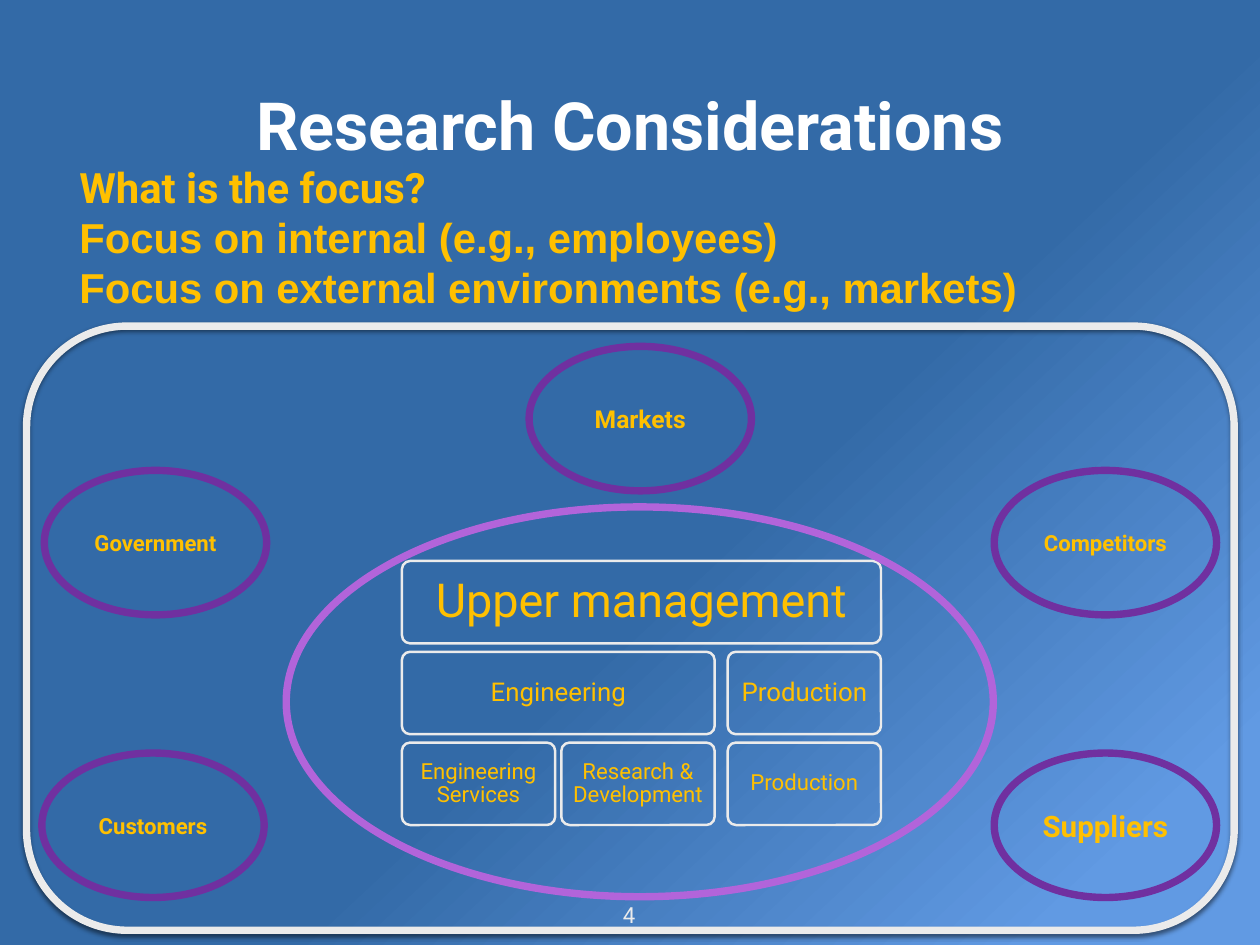
import pptx
import pptx.dml.color
import pptx.enum.shapes
import pptx.enum.text
import pptx.oxml
import pptx.oxml.ns
import pptx.util

Pt = pptx.util.Pt
SHAPES = pptx.enum.shapes.MSO_SHAPE
ALIGN = pptx.enum.text.PP_ALIGN

WHITE, LIGHT, GOLD = "FFFFFF", "EBEBEB", "FFC000"
ORCHID, PURPLE = "B264DA", "7030A0"
DARK_BLUE, SKY_BLUE = "336AA7", "619AE3"


def color(code):
    """Turn a hex string into a colour."""
    return pptx.dml.color.RGBColor.from_string(code)


def write(frame, *lines, size=18, ink=GOLD, bold=False, font="Roboto",
          align=ALIGN.CENTER, inset=None, spacing=1.0, wrap=True):
    """Fill a text frame with one paragraph a line; a line may be (text, font)."""
    frame.word_wrap = wrap
    frame.auto_size = pptx.enum.text.MSO_AUTO_SIZE.NONE
    frame.vertical_anchor = pptx.enum.text.MSO_ANCHOR.MIDDLE
    if inset is not None:
        frame.margin_left = frame.margin_right = Pt(inset)
        frame.margin_top = frame.margin_bottom = Pt(inset)
    for index, line in enumerate(lines):
        text, face = line if isinstance(line, tuple) else (line, font)
        para = frame.add_paragraph() if index else frame.paragraphs[0]
        para.alignment = align
        para.line_spacing = spacing
        para.space_before = para.space_after = Pt(0)
        span = para.add_run()
        span.text = text
        span.font.name = face
        span.font.size = Pt(size)
        span.font.bold = bold
        span.font.color.rgb = color(ink)


class SlideBuilder:
    """Holds the style and the current slide."""

    def __init__(self, deck):
        """Add a slide with title and body to the deck."""
        self.slide = deck.slides.add_slide(deck.slide_layouts[1])
        self.heavy_line, self.thin_line = 6, 2
        self.inset = 4.5

    def background(self, start, end, angle):
        """Paint the background with two (position, colour) stops."""
        fill = self.slide.background.fill
        fill.gradient()
        fill.gradient_angle = 360 - angle
        for stop, (position, code) in zip(fill.gradient_stops, (start, end)):
            stop.position = position
            stop.color.rgb = color(code)

    def place(self, box, left, top, width, height):
        """Move and size a box."""
        box.left, box.top = Pt(left), Pt(top)
        box.width, box.height = Pt(width), Pt(height)

    def title(self, text, area, **style):
        """Fill and place the title."""
        box = self.slide.shapes.title
        self.place(box, *area)
        write(box.text_frame, text, inset=self.inset, **style)

    def body(self, lines, area, **style):
        """Fill and place the body, without bullets."""
        box = self.slide.placeholders[1]
        self.place(box, *area)
        write(box.text_frame, *lines, inset=self.inset, align=ALIGN.LEFT, **style)
        for para in box.text_frame.paragraphs:
            properties = para._p.get_or_add_pPr()
            properties.set("marL", "0")
            properties.set("indent", "0")
            properties.append(pptx.oxml.parse_xml(
                f'<a:buNone {pptx.oxml.ns.nsdecls("a")}/>'))

    def outline(self, kind, area, line, weight):
        """Draw an unfilled shape and return it."""
        shape = self.slide.shapes.add_shape(kind, *(Pt(value) for value in area))
        shape.shadow.inherit = False
        shape.fill.background()
        shape.line.color.rgb = color(line)
        shape.line.width = Pt(weight)
        return shape

    def frame(self, area):
        """Draw the rounded outer frame with its soft shadow."""
        shape = self.outline(SHAPES.ROUNDED_RECTANGLE, area, LIGHT, self.heavy_line)
        effects = shape._element.spPr.find(pptx.oxml.ns.qn("a:effectLst"))
        effects.append(pptx.oxml.parse_xml(
            f'<a:outerShdw {pptx.oxml.ns.nsdecls("a")} blurRad="{Pt(4)}" '
            f'dist="{Pt(2)}" dir="5400000" rotWithShape="0">'
            '<a:srgbClr val="000000"><a:alpha val="50000"/></a:srgbClr>'
            '</a:outerShdw>'))

    def oval(self, area, line, text=None, size=18):
        """Draw an ellipse, with a bold label if text is given."""
        shape = self.outline(SHAPES.OVAL, area, line, self.heavy_line)
        if text:
            write(shape.text_frame, text, size=size, bold=True)

    def card(self, text, area, size, inset):
        """Draw one unit of the organisation chart."""
        shape = self.outline(SHAPES.ROUNDED_RECTANGLE, area, LIGHT, self.thin_line)
        shape.adjustments[0] = 0.1
        write(shape.text_frame, text, size=size, inset=inset, spacing=0.9)

    def label(self, text, area, **style):
        """Add a text box."""
        box = self.slide.shapes.add_textbox(*(Pt(value) for value in area))
        write(box.text_frame, text, inset=self.inset, **style)


deck = pptx.Presentation()
deck.slide_width, deck.slide_height = Pt(1024), Pt(768)
page = SlideBuilder(deck)
page.background((0.57, DARK_BLUE), (0.9, SKY_BLUE), angle=47)
page.frame((21.6, 265, 981.4, 491))
page.title("Research Considerations", (60, 16, 904, 169),
           size=54, ink=WHITE, bold=True)
page.body(["What is the focus?",
           ("Focus on internal (e.g., employees)", "Arial"),
           ("Focus on external environments (e.g., markets)", "Arial")],
          (60, 124, 904, 137), size=34, bold=True)
page.label("4", (502, 728.6, 18.7, 29.5), ink=LIGHT, wrap=False)

# Organisation chart: text, row, first column, last column
COLUMN_LEFTS, COLUMN_WIDTH = (326.6, 456.2, 591.4), 124.6
FIRST_ROW, ROW_PITCH, ROW_HEIGHT = 455.9, 73.8, 67
ROW_STYLES = ((38, 11.5), (21, 6.5), (18, 5))
UNITS = (
    ("Upper management", 0, 0, 2),
    ("Engineering", 1, 0, 1),
    ("Production", 1, 2, 2),
    ("Engineering Services", 2, 0, 0),
    ("Research & Development", 2, 1, 1),
    ("Production", 2, 2, 2),
)
for text, row, first, last in UNITS:
    left = COLUMN_LEFTS[first]
    width = COLUMN_LEFTS[last] + COLUMN_WIDTH - left
    size, inset = ROW_STYLES[row]
    page.card(text, (left, FIRST_ROW + row * ROW_PITCH, width, ROW_HEIGHT),
              size, inset)

# Company boundary and the outside environment
page.oval((232.6, 412, 574.6, 316.8), ORCHID)
ENVIRONMENT = (
    ("Government", 36, 382.3, 18),
    ("Customers", 34, 612, 18),
    ("Competitors", 808, 382.3, 18),
    ("Suppliers", 808, 612, 24),
    ("Markets", 430, 281.5, 20),
)
for text, left, top, size in ENVIRONMENT:
    page.oval((left, top, 180.7, 117.4), PURPLE, text, size)

deck.save("out.pptx")
